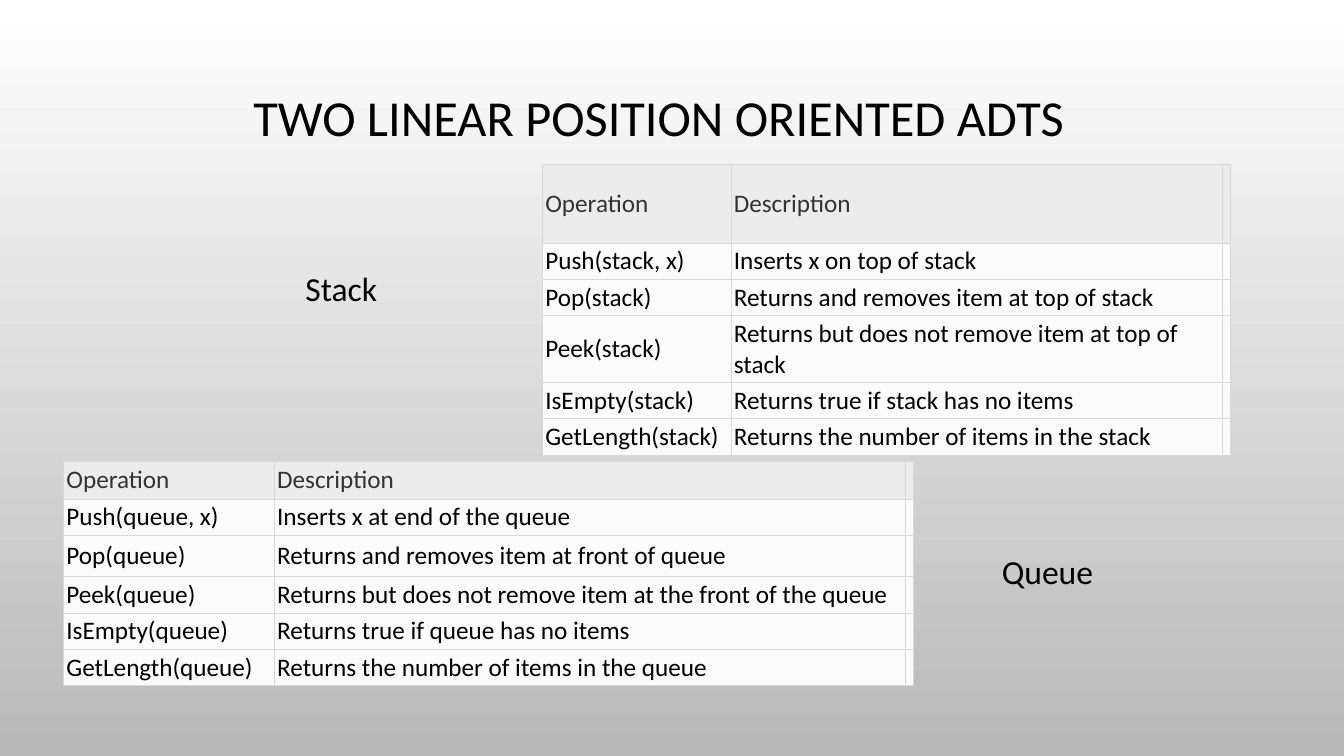
from lxml.etree import SubElement
from pptx import Presentation
from pptx.dml.color import RGBColor
from pptx.enum.text import MSO_ANCHOR, PP_ALIGN
from pptx.oxml.ns import qn
from pptx.util import Inches, Pt

WIDE, HIGH = 13.333, 7.5
FONT = "Calibri"
HUES = {
    "top": "FFFFFF", "base": "B9B9B9", "ink": "000000", "head": "333333",
    "band": "ECECEC", "cell": "FBFBFB", "rule": "D8D8D8",
}
HEADS = ("Operation", "Description")
STACK = [
    HEADS,
    ("Push(stack, x)", "Inserts x on top of stack"),
    ("Pop(stack)", "Returns and removes item at top of stack"),
    ("Peek(stack)", "Returns but does not remove item at top of stack"),
    ("IsEmpty(stack)", "Returns true if stack has no items"),
    ("GetLength(stack)", "Returns the number of items in the stack"),
]
QUEUE = [
    HEADS,
    ("Push(queue, x)", "Inserts x at end of the queue"),
    ("Pop(queue)", "Returns and removes item at front of queue"),
    ("Peek(queue)", "Returns but does not remove item at the front of the queue"),
    ("IsEmpty(queue)", "Returns true if queue has no items"),
    ("GetLength(queue)", "Returns the number of items in the queue"),
]


# Lengths are percentages of the slide's width or height
def across(share):
    return Inches(WIDE * share / 100)


def down(share):
    return Inches(HIGH * share / 100)


def box(x, y, w, h):
    return across(x), down(y), across(w), down(h)


def hue(name):
    return RGBColor.from_string(HUES[name])


def style(para, size, name="ink"):
    para.font.name = FONT
    para.font.size = Pt(size)
    para.font.color.rgb = hue(name)


def paint(slide):
    fill = slide.background.fill
    fill.gradient()
    fill.gradient_angle = 270
    for stop, name, place in zip(fill.gradient_stops, ("top", "base"), (0, 1)):
        stop.color.rgb = hue(name)
        stop.position = place


def add_title(slide, text):
    title = slide.shapes.title
    title.left, title.top, title.width, title.height = box(6.53, 4.27, 85, 23.33)
    frame = title.text_frame
    frame.text = text
    frame.vertical_anchor = MSO_ANCHOR.MIDDLE
    para = frame.paragraphs[0]
    para.alignment = PP_ALIGN.CENTER
    para.line_spacing = 0.9
    style(para, 36)


def add_label(slide, text, x, y, w):
    frame = slide.shapes.add_textbox(*box(x, y, w, 6.67)).text_frame
    frame.word_wrap = True
    frame.text = text
    style(frame.paragraphs[0], 24)


def add_edges(cell):
    props = cell._tc.get_or_add_tcPr()
    for spot, side in enumerate(("lnL", "lnR", "lnT", "lnB")):
        line = SubElement(props, qn(f"a:{side}"), w=str(Pt(0.38)))
        fill = SubElement(line, qn("a:solidFill"))
        SubElement(fill, qn("a:srgbClr"), val=HUES["rule"])
        props.insert(spot, line)  # edges come before the fill


def set_cell(cell, text, head):
    cell.text = text
    cell.vertical_anchor = MSO_ANCHOR.MIDDLE
    side = 0.03 if text else 0
    cell.margin_left = cell.margin_right = Inches(side)
    cell.margin_top = cell.margin_bottom = Inches(0.03)
    style(cell.text_frame.paragraphs[0], 18, "head" if head else "ink")
    cell.fill.solid()
    cell.fill.fore_color.rgb = hue("band" if head else "cell")
    add_edges(cell)


def add_grid(slide, data, x, y, cols, rows):
    spot = box(x, y, sum(cols), sum(rows))
    table = slide.shapes.add_table(len(rows), len(cols), *spot).table
    table.first_row = table.horz_banding = False
    for col, share in zip(table.columns, cols):
        col.width = across(share)
    for row, share in zip(table.rows, rows):
        row.height = down(share)
    for r, texts in enumerate(data):
        for c, text in enumerate((*texts, "")):  # last column is an empty strip
            set_cell(table.cell(r, c), text, r == 0)


def main():
    deck = Presentation()
    deck.slide_width, deck.slide_height = Inches(WIDE), Inches(HIGH)
    slide = deck.slides.add_slide(deck.slide_layouts[5])
    paint(slide)
    add_title(slide, "TWO LINEAR POSITION ORIENTED ADTS")

    # Stack: label left, table right
    add_label(slide, "Stack", 21.98, 34.8, 16.05)
    add_grid(slide, STACK, 40.35, 21.73, (14.03, 36.53, 0.6),
             (10.4, 4.8, 4.8, 8.8, 4.8, 4.8))

    # Queue: table left, label right
    add_grid(slide, QUEUE, 4.72, 61.07, (15.68, 46.95, 0.6),
             (4.93, 4.8, 5.47, 4.8, 4.8, 4.8))
    add_label(slide, "Queue", 73.8, 72.27, 14.63)
    deck.save("out.pptx")


if __name__ == "__main__":
    main()
